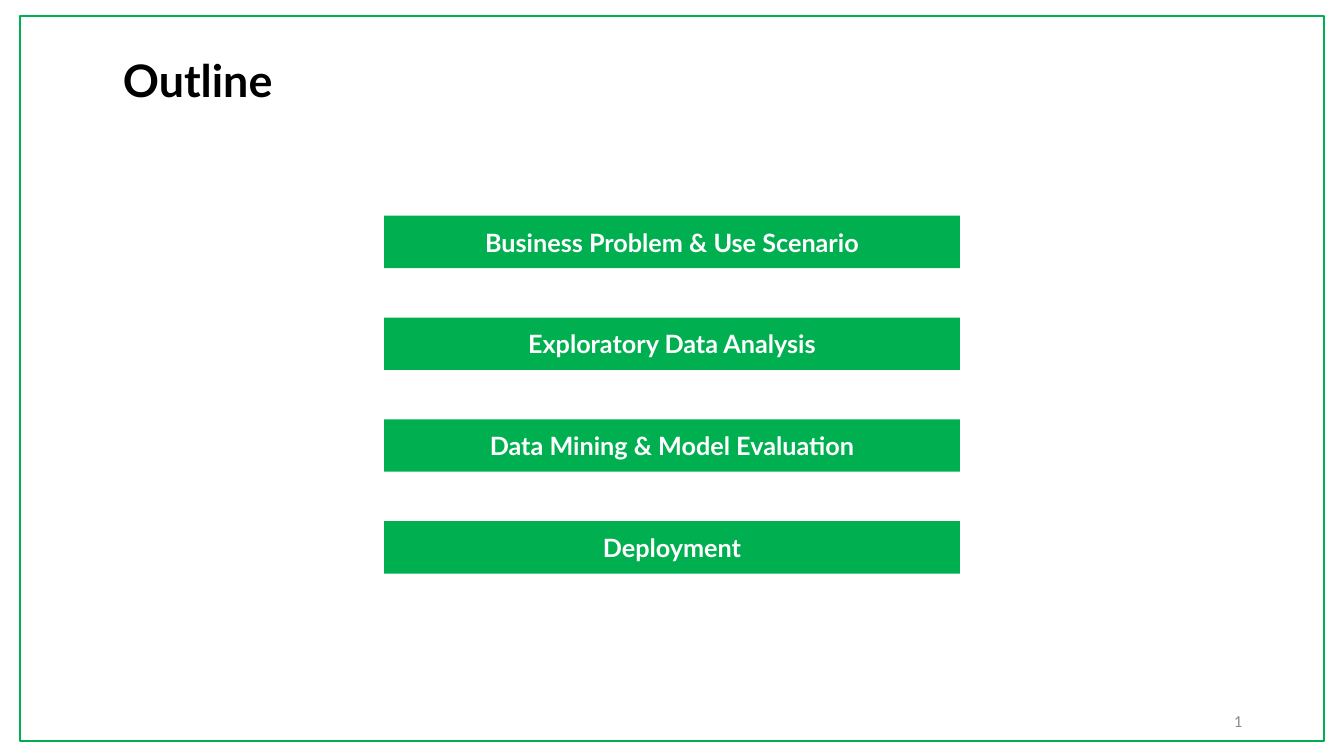
from pptx import Presentation
from pptx.dml.color import RGBColor
from pptx.enum.shapes import MSO_SHAPE
from pptx.enum.text import MSO_ANCHOR, PP_ALIGN
from pptx.util import Inches, Pt

COLORS = {"green": "00B050", "black": "000000", "white": "FFFFFF", "gray": "8C8C8C"}


def write(sp, text, color, align, **font):
    tf = sp.text_frame
    tf.word_wrap = True
    tf.vertical_anchor = MSO_ANCHOR.MIDDLE
    p = tf.paragraphs[0]
    p.alignment = align
    r = p.add_run()
    r.text = text
    r.font.color.rgb = RGBColor.from_string(COLORS[color])
    for name, value in font.items():
        setattr(r.font, name, value)
    return p


prs = Presentation()
prs.slide_width = Inches(13.33)
prs.slide_height = Inches(7.5)
s = prs.slides.add_slide(prs.slide_layouts[6])
green = RGBColor.from_string(COLORS["green"])

frame = s.shapes.add_shape(
    MSO_SHAPE.RECTANGLE, Inches(0.2), Inches(0.16), Inches(12.93), Inches(7.19))
frame.shadow.inherit = False
frame.fill.background()
frame.line.color.rgb = green
frame.line.width = Pt(1.5)

title = s.shapes.add_textbox(Inches(1.12), Inches(0.32), Inches(11.08), Inches(1))
p = write(title, "Outline", "black", PP_ALIGN.LEFT, name="Lato", size=Pt(32), bold=True)
p.line_spacing = 0.9

topics = [
    "Business Problem & Use Scenario",
    "Exploratory Data Analysis",
    "Data Mining & Model Evaluation",
    "Deployment",
]
for i, topic in enumerate(topics):
    bar = s.shapes.add_shape(
        MSO_SHAPE.RECTANGLE, Inches(3.81), Inches(2.14 + 1.01 * i), Inches(5.71), Inches(0.52))
    bar.shadow.inherit = False
    bar.fill.solid()
    bar.fill.fore_color.rgb = green
    bar.line.fill.background()
    write(bar, topic, "white", PP_ALIGN.CENTER, name="Lato", size=Pt(18), bold=True)

number = s.shapes.add_textbox(Inches(9.42), Inches(6.95), Inches(3), Inches(0.4))
write(number, "1", "gray", PP_ALIGN.RIGHT, name="Calibri", size=Pt(12))

prs.save("out.pptx")
